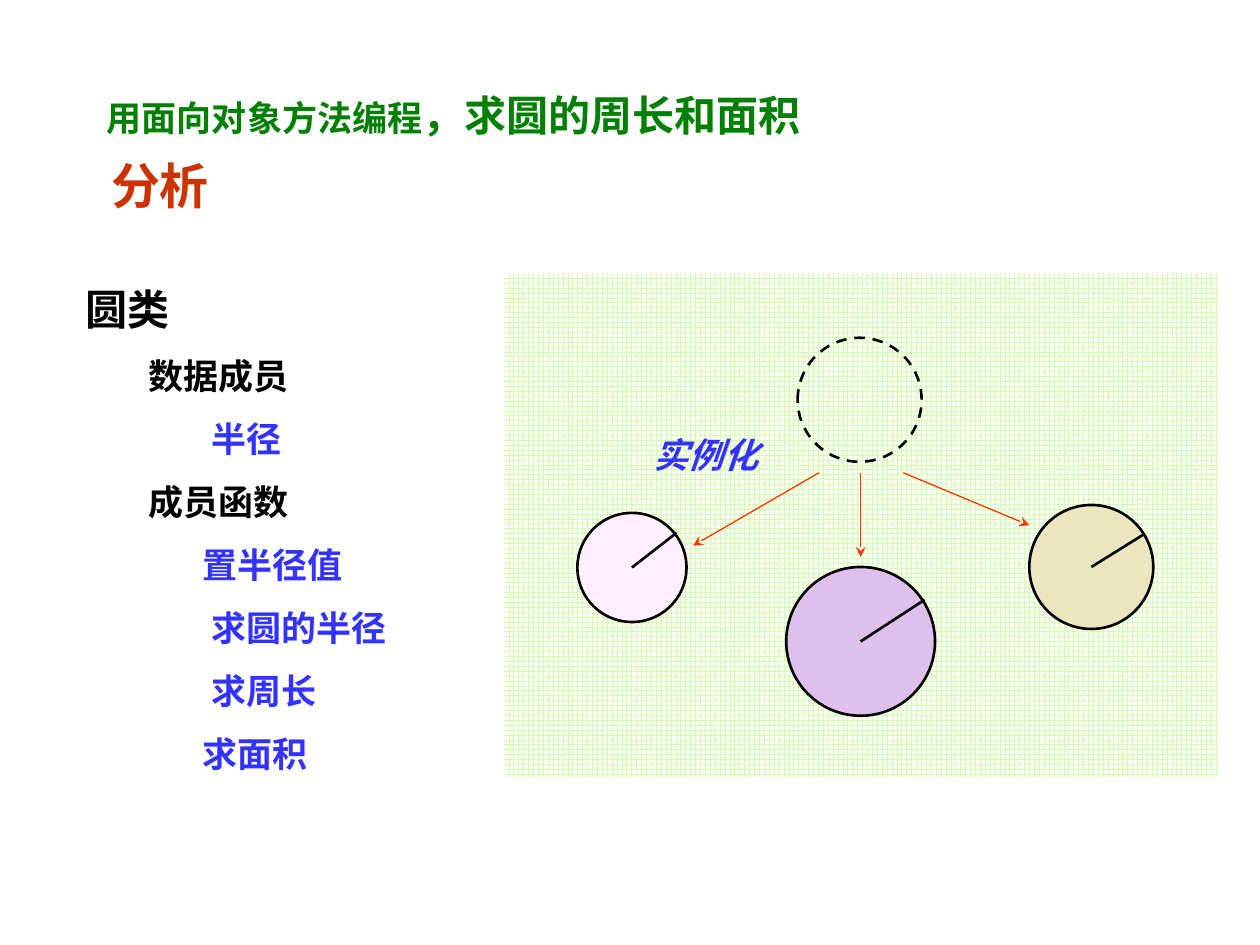
import dataclasses

import lxml.etree
import pptx
import pptx.dml.color
import pptx.enum.dml
import pptx.enum.shapes
import pptx.enum.text
import pptx.oxml.ns
import pptx.util

Cm = pptx.util.Cm
Pt = pptx.util.Pt
ALIGN = pptx.enum.text.PP_ALIGN


@dataclasses.dataclass(frozen=True)
class Theme:
    latin: str = "Times New Roman"
    asian: str = "Noto Sans CJK SC"
    black: str = "000000"
    white: str = "FFFFFF"
    green: str = "008000"
    red: str = "CC3300"
    blue: str = "3333FF"
    arrow: str = "FF3300"
    grid: str = "D4FEAE"
    pink: str = "FFEFFF"
    violet: str = "DFC0EC"
    tan: str = "ECE6C0"
    small: int = 20
    medium: int = 24
    large: int = 28
    thin: float = 0.75
    thick: float = 1.5


def tint(code):
    return pptx.dml.color.RGBColor.from_string(code)


def add_node(parent, tag, **values):
    return lxml.etree.SubElement(parent, pptx.oxml.ns.qn(tag), values)


def write(para, text, *, font, asian, size, color, italic=False):
    """Add a bold run, naming its font for Latin and East Asian script."""
    run = para.add_run()
    run.text = text
    run.font.name = font
    run.font.size = Pt(size)
    run.font.bold = True
    run.font.italic = italic
    run.font.color.rgb = tint(color)
    add_node(run.font._element, "a:ea", typeface=asian)


class Painter:
    def __init__(self, slide, theme):
        self.slide = slide
        self.theme = theme

    def style(self, para, text, **form):
        base = dict(font=self.theme.latin, asian=self.theme.asian,
                    size=self.theme.small, color=self.theme.black)
        write(para, text, **(base | form))

    def title(self, box, parts):
        """Fill the title with (text, format) pairs."""
        shape = self.slide.shapes.title
        shape.left, shape.top, shape.width, shape.height = map(Cm, box)
        frame = shape.text_frame
        frame.auto_size = pptx.enum.text.MSO_AUTO_SIZE.NONE
        frame.vertical_anchor = pptx.enum.text.MSO_ANCHOR.TOP
        para = frame.paragraphs[0]
        para.alignment = ALIGN.LEFT
        para.line_spacing = 1.6
        for text, form in parts:
            self.style(para, text, color=self.theme.green, **form)

    def label(self, box, text, **form):
        frame = self.slide.shapes.add_textbox(*map(Cm, box)).text_frame
        frame.word_wrap = False
        para = frame.paragraphs[0]
        para.alignment = ALIGN.CENTER
        self.style(para, text, **form)

    def outline(self, box, rows):
        """Stack (text, indent, format) rows."""
        frame = self.slide.shapes.add_textbox(*map(Cm, box)).text_frame
        frame.word_wrap = True
        for index, (text, indent, form) in enumerate(rows):
            para = frame.add_paragraph() if index else frame.paragraphs[0]
            para.line_spacing = 1.5
            props = para._p.get_or_add_pPr()
            props.set("marL", str(Cm(indent)))
            props.set("indent", "0")
            self.style(para, text, **form)

    def panel(self, box):
        kind = pptx.enum.shapes.MSO_SHAPE.RECTANGLE
        shape = self.slide.shapes.add_shape(kind, *map(Cm, box))
        shape.shadow.inherit = False
        shape.line.fill.background()
        shape.fill.patterned()
        shape.fill.pattern = pptx.enum.dml.MSO_PATTERN.SPHERE
        shape.fill.fore_color.rgb = tint(self.theme.grid)
        shape.fill.back_color.rgb = tint(self.theme.white)

    def circle(self, x, y, radius, fill=None):
        """Draw a circle about its centre; one without a fill is dashed."""
        box = (x - radius, y - radius, 2 * radius, 2 * radius)
        kind = pptx.enum.shapes.MSO_SHAPE.OVAL
        shape = self.slide.shapes.add_shape(kind, *map(Cm, box))
        shape.shadow.inherit = False
        shape.line.color.rgb = tint(self.theme.black)
        shape.line.width = Pt(self.theme.thick)
        if fill:
            shape.fill.solid()
            shape.fill.fore_color.rgb = tint(fill)
        else:
            shape.fill.background()
            shape.line.dash_style = pptx.enum.dml.MSO_LINE.DASH
        return shape

    def line(self, start, end, color, width):
        kind = pptx.enum.shapes.MSO_CONNECTOR.STRAIGHT
        shape = self.slide.shapes.add_connector(kind, *map(Cm, start + end))
        shape.line.color.rgb = tint(color)
        shape.line.width = Pt(width)
        add_node(shape._element.spPr, "a:effectLst")
        return shape

    def arrow(self, start, end):
        shape = self.line(start, end, self.theme.arrow, self.theme.thin)
        add_node(shape.line._get_or_add_ln(), "a:tailEnd", type="stealth")

    def object(self, x, y, radius, tip, fill):
        """Group a filled circle with its radius, tip being an offset."""
        disc = self.circle(x, y, radius, fill)
        end = (x + tip[0], y + tip[1])
        spoke = self.line((x, y), end, self.theme.black, self.theme.thick)
        self.slide.shapes.add_group_shape([disc, spoke])


def main():
    deck = pptx.Presentation()
    deck.slide_width, deck.slide_height = Cm(25.4), Cm(19.05)
    theme = Theme()
    paint = Painter(deck.slides.add_slide(deck.slide_layouts[5]), theme)

    paint.panel((10.16, 5.51, 14.4, 10.16))
    paint.title((1.9, 1.07, 17.78, 1.6), [
        ("用面向对象方法编程", dict(font=theme.asian)),
        ("，求圆的周长和面积", dict(size=theme.medium)),
    ])
    paint.label((1.98, 3.02, 2.49, 1.45), "分析",
                size=theme.large, color=theme.red)

    paint.circle(17.33, 8.06, 1.25)
    for item in (
        (17.35, 12.93, 1.5, (1.29, -0.84), theme.violet),
        (22, 11.43, 1.25, (1.06, -0.66), theme.tan),
        (12.74, 11.44, 1.1, (0.9, -0.7), theme.pink),
    ):
        paint.object(*item)

    blue = dict(color=theme.blue)
    paint.outline((1.47, 5.08, 7.09, 10.67), [
        ("圆类", 0, dict(size=theme.medium)),
        ("数据成员", 1.27, {}),
        ("半径", 2.54, blue),
        ("成员函数", 1.27, {}),
        ("置半径值", 2.37, blue),
        ("求圆的半径", 2.54, blue),
        ("求周长", 2.54, blue),
        ("求面积", 2.37, blue),
    ])

    for start, end in (
        (16.51, (13.97, 11)),
        (17.35, (17.35, 11.23)),
        (18.21, (20.75, 10.59)),
    ):
        paint.arrow((start, 9.53), end)
    paint.label((12.93, 8.61, 2.62, 1.09), "实例化", italic=True, **blue)

    deck.save("out.pptx")


if __name__ == "__main__":
    main()
